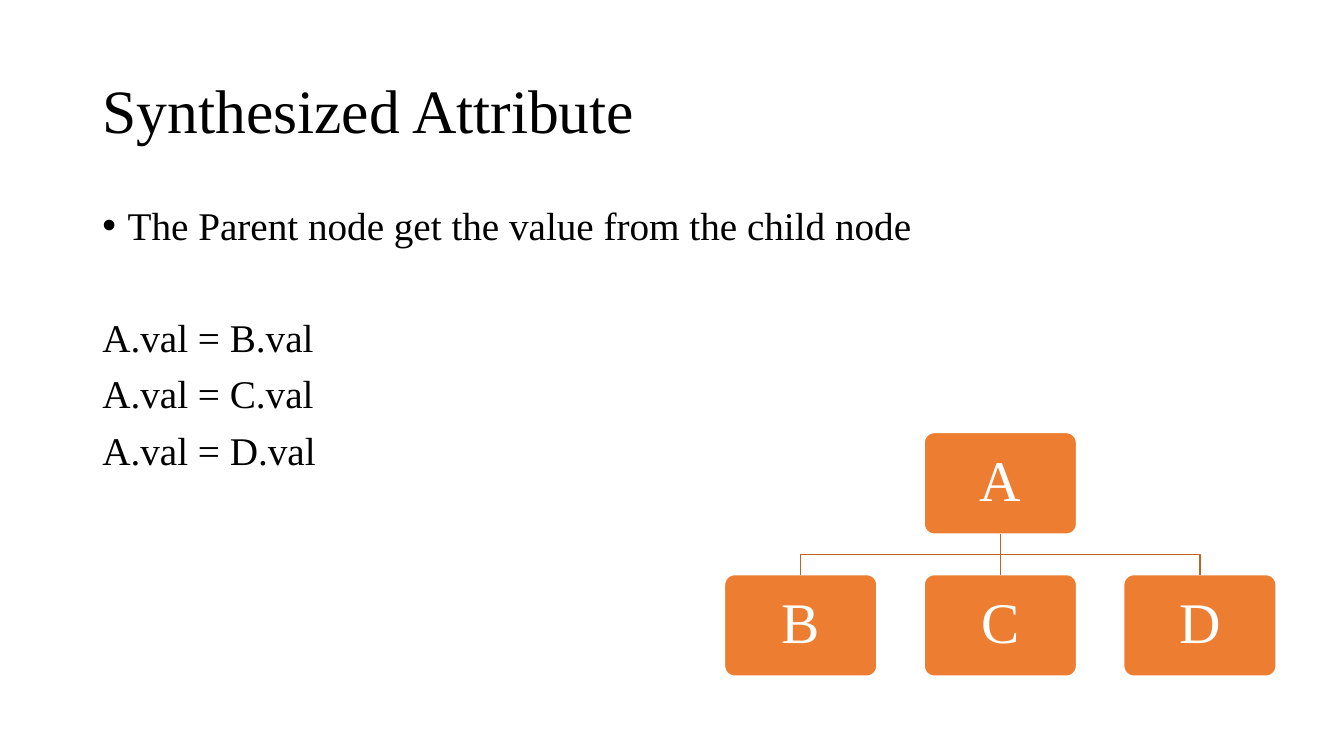
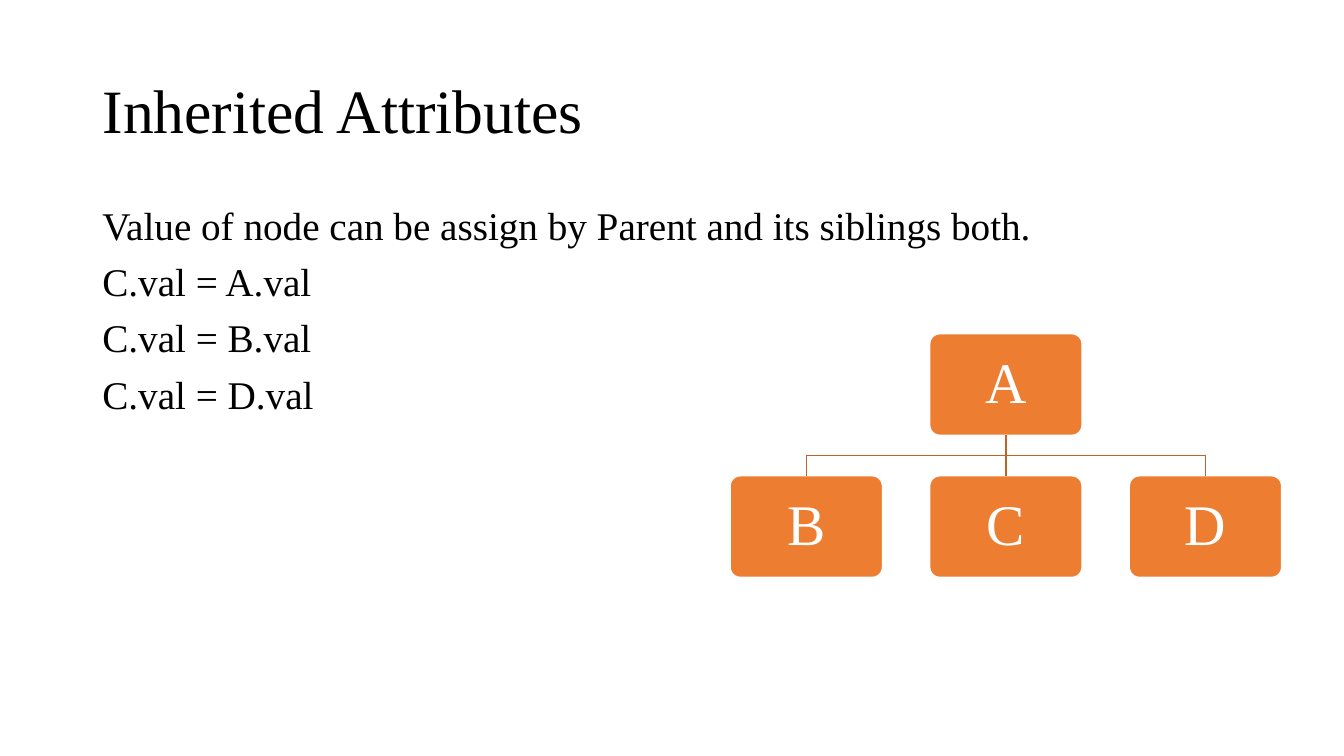
from dataclasses import dataclass

from lxml.etree import SubElement
from pptx import Presentation
from pptx.dml.color import RGBColor as Rgb
from pptx.enum.shapes import MSO_CONNECTOR as Connector, MSO_SHAPE as Shape
from pptx.enum.text import MSO_ANCHOR as Anchor, PP_ALIGN as Align
from pptx.oxml.ns import qn
from pptx.util import Cm, Pt


@dataclass(frozen=True)
class Theme:
    font: str = "Times New Roman"
    text: Rgb = Rgb(0x00, 0x00, 0x00)
    node: Rgb = Rgb(0xED, 0x7D, 0x31)
    node_text: Rgb = Rgb(0xFF, 0xFF, 0xFF)
    branch: Rgb = Rgb(0xBE, 0x64, 0x27)
    title_size: Pt = Pt(44)
    body_size: Pt = Pt(28)
    node_size: Pt = Pt(41)
    line_width: Pt = Pt(1)
    line_spacing: float = 0.9
    paragraph_gap: Pt = Pt(10)
    section_gap: Pt = Pt(50)


THEME = Theme()
MARGIN, TEXT_WIDTH = Cm(2.33), Cm(29.21)
NODE_WIDTH, NODE_HEIGHT = Cm(3.84), Cm(2.56)
COLUMN_STEP, ROW_STEP = Cm(5.03), Cm(3.58)


def style_paragraph(para, size, color, align=Align.LEFT):
    para.alignment = align
    para.line_spacing = THEME.line_spacing
    para.font.name = THEME.font
    para.font.size = size
    para.font.color.rgb = color


def add_titled_slide(deck, title):
    page = deck.slides.add_slide(deck.slide_layouts[5])
    box = page.shapes.title
    box.left, box.top, box.width, box.height = MARGIN, Cm(1.01), TEXT_WIDTH, Cm(3.68)
    box.text_frame.text = title
    box.text_frame.vertical_anchor = Anchor.MIDDLE
    style_paragraph(box.text_frame.paragraphs[0], THEME.title_size, THEME.text)
    return page


def add_bullet(para):
    properties = para._p.get_or_add_pPr()
    indent = Cm(0.64)
    properties.set("marL", str(indent))
    properties.set("indent", str(-indent))
    SubElement(properties, qn("a:buFont")).set("typeface", "Arial")
    SubElement(properties, qn("a:buChar")).set("char", "•")


def add_body(page, statement, rules, bulleted=False):
    box = page.shapes.add_textbox(MARGIN, Cm(5.07), TEXT_WIDTH, Cm(12.09))
    frame = box.text_frame
    frame.word_wrap = True
    frame.text = "\n".join([statement, *rules])
    first, *others = frame.paragraphs
    if bulleted:
        add_bullet(first)
    for para in frame.paragraphs:
        style_paragraph(para, THEME.body_size, THEME.text)
    for para in others:
        para.space_before = THEME.paragraph_gap
    if bulleted:
        others[0].space_before = THEME.section_gap


def add_node(page, label, left, top):
    node = page.shapes.add_shape(Shape.ROUNDED_RECTANGLE, left, top, NODE_WIDTH, NODE_HEIGHT)
    node.adjustments[0] = 0.1
    node.shadow.inherit = False
    node.fill.solid()
    node.fill.fore_color.rgb = THEME.node
    node.line.color.rgb = THEME.node_text
    node.line.width = THEME.line_width
    node.text_frame.text = label
    node.text_frame.vertical_anchor = Anchor.MIDDLE
    style_paragraph(node.text_frame.paragraphs[0], THEME.node_size, THEME.node_text, Align.CENTER)
    return node


def style_branch(line):
    line.color.rgb = THEME.branch
    line.width = THEME.line_width


def add_straight_branch(page, parent, child):
    branch = page.shapes.add_connector(Connector.STRAIGHT, 0, 0, 0, 0)
    branch.begin_connect(parent, 2)
    branch.end_connect(child, 0)
    SubElement(branch._element.spPr, qn("a:effectLst"))
    style_branch(branch.line)


def add_bent_branch(page, parent, child):
    start_x, end_x = (node.left + node.width // 2 for node in (parent, child))
    start_y, end_y = parent.top + parent.height, child.top
    middle_y = (start_y + end_y) // 2
    builder = page.shapes.build_freeform(start_x, start_y)
    builder.add_line_segments([(start_x, middle_y), (end_x, middle_y), (end_x, end_y)], close=False)
    branch = builder.convert_to_shape()
    branch.shadow.inherit = False
    branch.fill.background()
    style_branch(branch.line)


def add_tree(page, left, top):
    root = add_node(page, "A", left + COLUMN_STEP, top)
    for column, label in enumerate("BCD"):
        child = add_node(page, label, left + column * COLUMN_STEP, top + ROW_STEP)
        if child.left == root.left:
            add_straight_branch(page, root, child)
        else:
            add_bent_branch(page, root, child)


def main():
    deck = Presentation()
    deck.slide_width, deck.slide_height = Cm(33.87), Cm(19.05)

    page = add_titled_slide(deck, "Synthesized Attribute")
    add_body(
        page,
        "The Parent node get the value from the child node",
        ["A.val = B.val", "A.val = C.val", "A.val = D.val"],
        bulleted=True,
    )
    add_tree(page, Cm(18.26), Cm(10.9))

    page = add_titled_slide(deck, "Inherited Attributes")
    add_body(
        page,
        "Value of node can be assign by Parent and its siblings both.",
        ["C.val = A.val", "C.val = B.val", "C.val = D.val"],
    )
    add_tree(page, Cm(18.4), Cm(8.41))

    deck.save("out.pptx")


if __name__ == "__main__":
    main()
